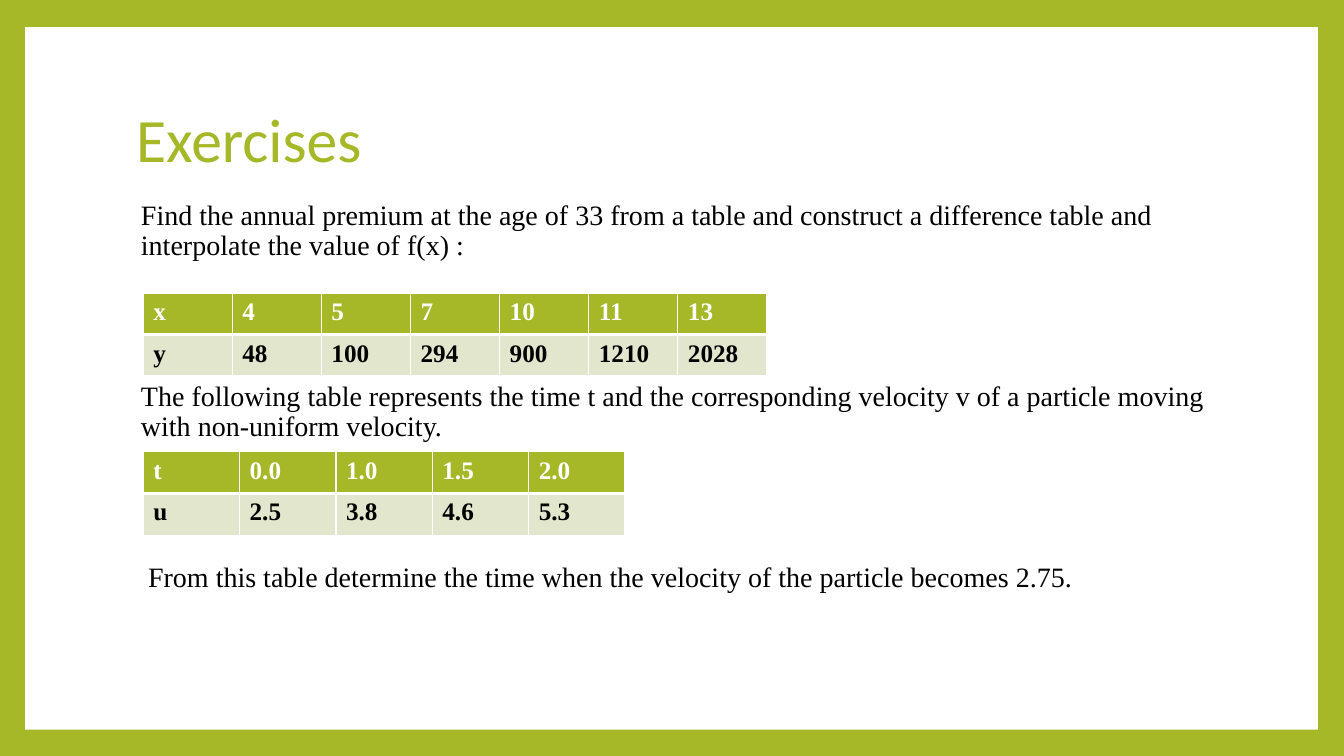
from dataclasses import dataclass

from lxml import etree
from pptx import Presentation
from pptx.dml.color import RGBColor
from pptx.enum.shapes import MSO_SHAPE
from pptx.enum.text import MSO_ANCHOR, PP_ALIGN
from pptx.oxml.ns import qn
from pptx.util import Inches, Pt

RECTANGLE = MSO_SHAPE.RECTANGLE
LEFT = PP_ALIGN.LEFT
MIDDLE = MSO_ANCHOR.MIDDLE
TITLE_ONLY = 5


@dataclass(frozen=True)
class Theme:
    green: RGBColor = RGBColor(0xA6, 0xB7, 0x27)
    pale: RGBColor = RGBColor(0xE1, 0xE6, 0xCD)
    white: RGBColor = RGBColor(0xFF, 0xFF, 0xFF)
    black: RGBColor = RGBColor(0, 0, 0)
    title_font: str = "Calibri"
    body_font: str = "Times New Roman"
    title_size: int = 44
    body_size: int = 20
    table_size: int = 18


THEME = Theme()

# Each question: wording, left indent in inches, space before in points
QUESTIONS = [
    ("Find the annual premium at the age of 33 from a table and construct "
     "a difference table and interpolate the value of f(x) :", 0.05, 0),
    ("The following table represents the time t and the corresponding "
     "velocity v of a particle moving with non-uniform velocity.", 0.05, 86),
    ("From this table determine the time when the velocity of the particle "
     "becomes 2.75.", 0.12, 86),
]
PREMIUMS = [["x", "4", "5", "7", "10", "11", "13"],
            ["y", "48", "100", "294", "900", "1210", "2028"]]
VELOCITIES = [["t", "0.0", "1.0", "1.5", "2.0"],
              ["u", "2.5", "3.8", "4.6", "5.3"]]


def format_font(paragraph, color, **values):
    for name, value in values.items():
        setattr(paragraph.font, name, value)
    paragraph.font.color.rgb = color


def place(shape, left, top, width, height):
    box = {"left": left, "top": top, "width": width, "height": height}
    for name, value in box.items():
        setattr(shape, name, Inches(value))


def add_frame(slide):
    slide.background.fill.solid()
    slide.background.fill.fore_color.rgb = THEME.green
    panel = slide.shapes.add_shape(
        RECTANGLE, Inches(0.25), Inches(0.27), Inches(12.82), Inches(6.97))
    panel.shadow.inherit = False
    panel.fill.solid()
    panel.fill.fore_color.rgb = THEME.white
    panel.line.fill.background()
    # Keep the panel behind the title
    slide.shapes.title.element.addprevious(panel.element)


def set_title(slide, wording):
    title = slide.shapes.title
    place(title, 1.25, 0.67, 10.8, 1.48)
    title.text_frame.text = wording
    title.text_frame.vertical_anchor = MIDDLE
    heading = title.text_frame.paragraphs[0]
    heading.alignment = LEFT
    heading.line_spacing = 0.9
    format_font(heading, THEME.green, name=THEME.title_font,
                size=Pt(THEME.title_size))


def add_questions(slide, questions):
    body = slide.shapes.add_textbox(
        Inches(1.25), Inches(1.95), Inches(10.8), Inches(4.72)).text_frame
    body.word_wrap = True
    for number, (wording, indent, space) in enumerate(questions):
        question = body.add_paragraph() if number else body.paragraphs[0]
        question.text = wording
        properties = question._p.get_or_add_pPr()
        properties.set("marL", str(Inches(indent)))
        properties.set("indent", "0")
        question.line_spacing = 0.9
        question.space_before = Pt(space)
        format_font(question, THEME.black, name=THEME.body_font,
                    size=Pt(THEME.body_size))


def set_borders(cell, widths):
    properties = cell._tc.get_or_add_tcPr()
    for side, width in widths.items():
        line = etree.SubElement(properties, qn(f"a:ln{side}"), w=str(Pt(width)))
        fill = etree.SubElement(line, qn("a:solidFill"))
        etree.SubElement(fill, qn("a:srgbClr"), val=str(THEME.white))


def add_value_table(slide, values, top, column_width, row_height):
    columns = len(values[0])
    table = slide.shapes.add_table(
        len(values), columns, Inches(1.42), Inches(top),
        Inches(column_width * columns), Inches(row_height * len(values))).table
    for row, entries in enumerate(values):
        header = row == 0
        for column, entry in enumerate(entries):
            cell = table.cell(row, column)
            cell.text = entry
            # A thick rule divides the header from the values
            set_borders(cell, {"L": 1, "R": 1, "T": 1 if header else 3,
                               "B": 3 if header else 1})
            cell.fill.solid()
            cell.fill.fore_color.rgb = THEME.green if header else THEME.pale
            format_font(cell.text_frame.paragraphs[0],
                        THEME.white if header else THEME.black,
                        name=THEME.body_font, size=Pt(THEME.table_size),
                        bold=True)


def main():
    deck = Presentation()
    deck.slide_width, deck.slide_height = Inches(13.33), Inches(7.5)
    slide = deck.slides.add_slide(deck.slide_layouts[TITLE_ONLY])

    # Frame and title
    add_frame(slide)
    set_title(slide, "Exercises")

    # Questions and their data
    add_questions(slide, QUESTIONS)
    add_value_table(slide, PREMIUMS, 2.91, 0.884, 0.41)
    add_value_table(slide, VELOCITIES, 4.48, 0.956, 0.415)

    deck.save("out.pptx")


if __name__ == "__main__":
    main()
